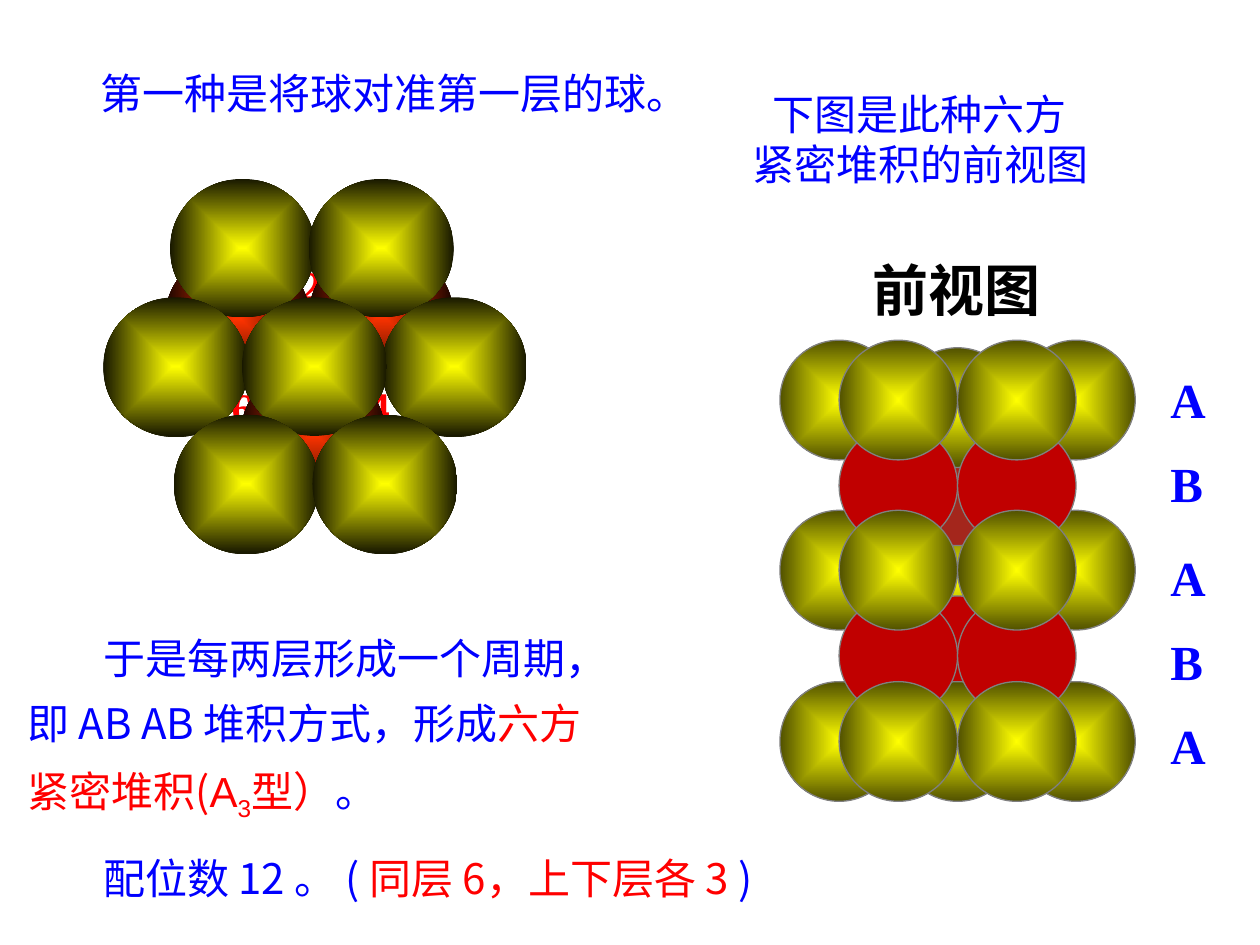
from lxml import etree
from pptx import Presentation
from pptx.dml.color import RGBColor
from pptx.enum import shapes, text
from pptx.oxml.ns import qn
from pptx.util import Inches, Pt

BLUE, RED, BLACK = "0000FF", "FF0000", "000000"
YELLOW_BALL, RED_BALL = ("FFFF00", "181800"), ("FF3300", "180500")
LAYER_A, LAYER_B, LAYER_B_BACK = ("FFFF00", "515100"), "C00000", "A4261C"
SERIF, SANS, CJK = "Times New Roman", "Arial", "Noto Sans CJK SC"


def rgb(value):
    return RGBColor.from_string(value)


def add_text(s, box, runs, size=24, bold=False, font=CJK, spacing=None,
             indent=0, align=text.PP_ALIGN.LEFT):
    """Each line is a list of runs: (wording, colour, optional font, optional baseline)."""
    tf = s.shapes.add_textbox(*map(Inches, box)).text_frame
    tf.word_wrap = True
    tf.auto_size = text.MSO_AUTO_SIZE.SHAPE_TO_FIT_TEXT
    for i, line in enumerate(runs):
        p = tf.add_paragraph() if i else tf.paragraphs[0]
        p.alignment = align
        p.line_spacing = spacing
        if indent and i == 0:
            p._p.get_or_add_pPr().set("indent", str(Inches(indent)))
        for wording, colour, *extra in line:
            r = p.add_run()
            r.text = wording
            r.font.size, r.font.bold = Pt(size), bold
            r.font.color.rgb = rgb(colour)
            r.font.name = extra[0] if extra else font
            rPr = r.font._element
            etree.SubElement(rPr, qn("a:ea")).set("typeface", CJK)
            if len(extra) > 1:
                rPr.set("baseline", extra[1])


def add_ball(s, box, fill, outline=None):
    """A fill of two colours shades from the centre to the rim."""
    sp = s.shapes.add_shape(shapes.MSO_SHAPE.OVAL, *map(Inches, box))
    sp.shadow.inherit = False
    if isinstance(fill, str):
        sp.fill.solid()
        sp.fill.fore_color.rgb = rgb(fill)
    else:
        sp.fill.gradient()
        for stop, colour, position in zip(sp.fill.gradient_stops, fill, (0, 1)):
            stop.color.rgb = rgb(colour)
            stop.position = position
        grad = sp._element.spPr.find(qn("a:gradFill"))
        grad.remove(grad.find(qn("a:lin")))
        shade = etree.SubElement(grad, qn("a:path"))
        shade.set("path", "shape")
        centre = etree.SubElement(shade, qn("a:fillToRect"))
        for side in "ltrb":
            centre.set(side, "50000")
    if outline:
        sp.line.color.rgb = rgb(outline)
        sp.line.width = Pt(0.75)
    else:
        sp.line.fill.background()


def add_top_view(s, left, top):
    w, h = 1.15, 1.1
    hexagon = [(0.53, 0), (1.63, 0), (0, 0.94), (2.21, 0.94), (1.1, 0.94),
               (0.56, 1.87), (1.66, 1.87)]
    hollows = [(0.94, 0.93, 0.37), (1.47, 0.59, 0.25), (2.04, 0.95, 0.33),
               (2.01, 1.55, 0.25), (1.5, 1.9, 0.27), (0.92, 1.56, 0.33)]

    def add_layer(places, fill, dy=0):
        for x, y in places:
            add_ball(s, (left + x, top + y + dy, w, h), fill)

    add_layer(hexagon, YELLOW_BALL, 0.01)
    for number, (x, y, width) in enumerate(hollows, 1):
        add_text(s, (left + x, top + y, width, 0.5), [[(str(number), RED)]],
                 bold=True, font=SERIF)
    add_layer([(0.49, 0.56), (1.63, 0.54), (1.09, 1.48)], RED_BALL)
    add_layer(hexagon, YELLOW_BALL)


def add_front_view(s, left, top):
    w, h = 0.94, 0.95
    a1, b1, a2, b2, a3 = (top + y for y in (0, 0.68, 1.35, 2.03, 2.71))

    def add_row(y, columns, fill):
        for column in columns:
            add_ball(s, (left + column * w / 2, y, w, h), fill, "808080")

    def add_back_row(y, drop):
        add_row(y + drop, [2], LAYER_A)
        add_row(y, [0, 4], LAYER_A)

    add_text(s, (left + 0.49, top - 0.72, 1.83, 0.63), [[("前视图", BLACK)]],
             size=32, bold=True, font=SERIF, align=text.PP_ALIGN.CENTER)
    add_back_row(a2, 0.07)
    add_row(b1, [2], LAYER_B_BACK)
    add_back_row(a1, 0.06)
    add_row(b2, [2], LAYER_B)
    add_back_row(a3, 0)
    for y in (b1, b2):
        add_row(y, [1, 3], LAYER_B)
    for y in (a1, a2, a3):
        add_row(y, [1, 3], LAYER_A)


def add_layer_letters(s, left, tops):
    for letter, y in zip("ABABA", tops):
        add_text(s, (left, y, 0.5, 0.57), [[(letter, BLUE)]],
                 size=28, bold=True, font=SERIF)


def add_explanations(s):
    add_text(s, (5.87, 0.65, 3.15, 0.9),
             [[("下图是此种六方", BLUE)], [("紧密堆积的前视图", BLUE)]],
             indent=0.16)
    body = dict(spacing=1.3, indent=0.6)
    add_text(s, (0.1, 0.37, 5.75, 0.62),
             [[("第一种是将球对准第一层的球。", BLUE)]], **body)
    add_text(s, (0.12, 4.85, 4.7, 1.75), [[
        ("于是每两层形成一个周期，即 AB AB 堆积方式，形成", BLUE),
        ("六方紧密堆积(", RED), ("A", RED, SANS), ("3", RED, SANS, "-25000"),
        ("型）", RED), ("。", BLUE)]], **body)
    add_text(s, (0.12, 6.6, 6.74, 0.62), [[
        ("配位数 12 。 ( ", BLUE), ("同层 6，上下层各 3 ", RED), (")", BLUE)]], **body)


def main():
    prs = Presentation()
    prs.slide_width, prs.slide_height = Inches(10), Inches(7.5)
    s = prs.slides.add_slide(prs.slide_layouts[6])
    add_explanations(s)
    add_top_view(s, 0.82, 1.42)
    add_front_view(s, 6.19, 2.7)
    add_layer_letters(s, 9.19, (2.88, 3.55, 4.3, 4.96, 5.63))
    prs.save("out.pptx")


if __name__ == "__main__":
    main()
